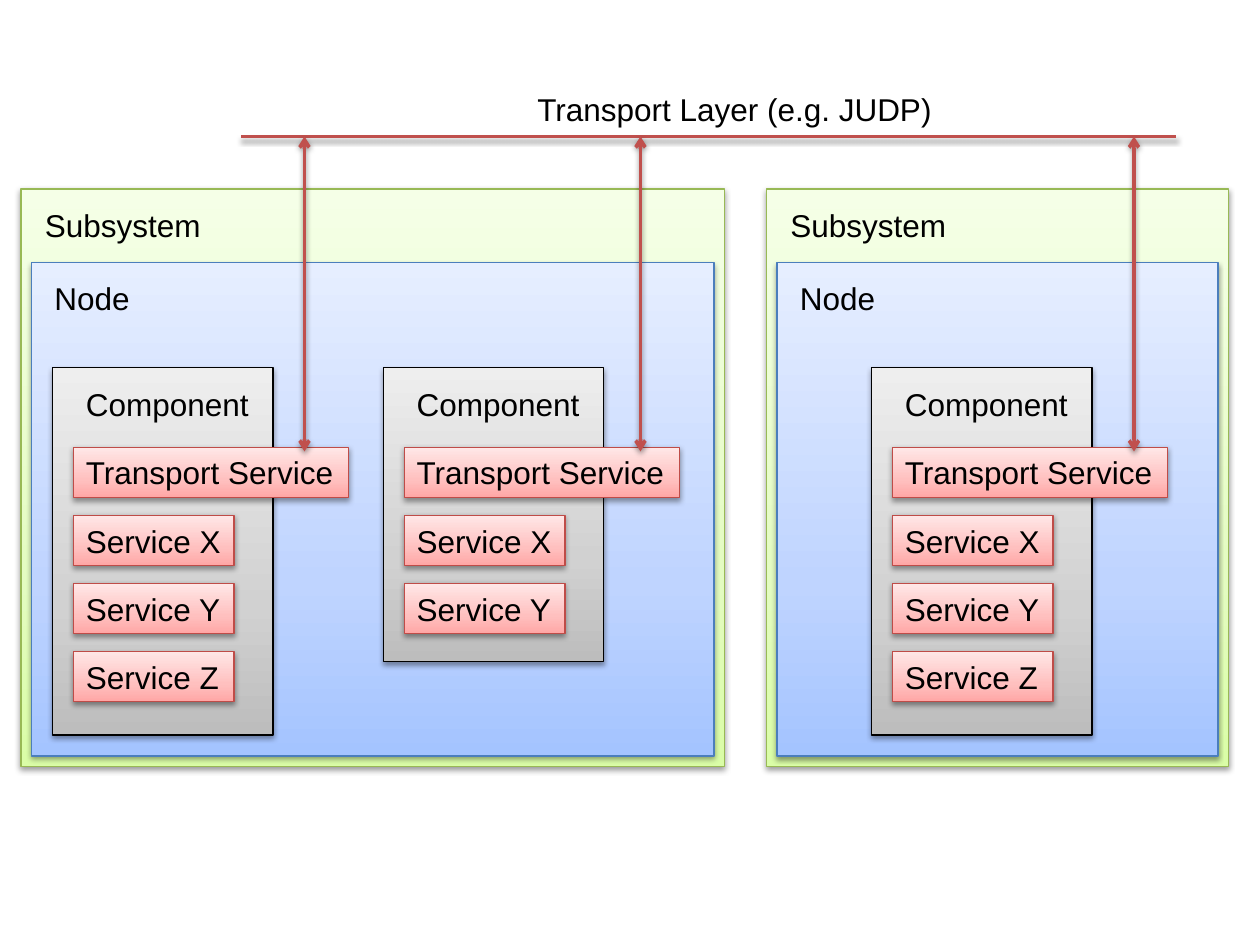
from copy import deepcopy

from lxml.etree import SubElement
from pptx import Presentation
from pptx.dml.color import RGBColor
from pptx.enum.shapes import MSO_CONNECTOR as Link, MSO_SHAPE as Preset
from pptx.enum.text import MSO_ANCHOR as Anchor, MSO_AUTO_SIZE as Fit, PP_ALIGN as Align
from pptx.oxml.ns import qn
from pptx.util import Inches, Pt

COLUMNS, ROWS = 120, 90
GREEN = ("DAFDA7", "E4FCC2", "F5FFE7", "98B955")
BLUE = ("A4C4FF", "BFD4FF", "E6EEFF", "4B7EBC")
GRAY = ("BDBDBD", "D1D1D1", "EEEEEE", "000000")
RED = ("FFA6A5", "FFC0BF", "FFE7E7", "BF4C48")
LABEL_HEIGHT = 4.8
BUS_ROW = 13


def color(hex_code):
    return RGBColor.from_string(hex_code)


class Diagram:
    font, size, ink = "Arial", 18, "000000"
    link_color, link_width, border_width = "C0504D", 2, 0.75

    def __init__(self, deck):
        self.slide = deck.slides.add_slide(deck.slide_layouts[6])
        self.column = deck.slide_width / COLUMNS
        self.row = deck.slide_height / ROWS

    def place(self, *cells):
        units = (self.column, self.row) * 2
        return [round(cell * unit) for cell, unit in zip(cells, units)]

    def cast_shadow(self, properties):
        effects = properties.find(qn("a:effectLst"))
        if effects is None:
            effects = SubElement(properties, qn("a:effectLst"))
        shadow = SubElement(effects, qn("a:outerShdw"), blurRad=str(Pt(3.1)),
                            dist=str(Pt(1.6)), dir="5400000", rotWithShape="0")
        black = SubElement(shadow, qn("a:srgbClr"), val="000000")
        SubElement(black, qn("a:alpha"), val="38000")

    def paint(self, shape, palette):
        *shades, border = palette
        properties = shape.element.spPr
        shape.fill.gradient()
        shape.fill.gradient_angle = 90
        stops = properties.find(".//" + qn("a:gsLst"))
        stops.insert(1, deepcopy(stops[0]))
        for stop, shade, position in zip(shape.fill.gradient_stops, shades, (0, 0.35, 1)):
            stop.color.rgb = color(shade)
            stop.position = position
        shape.line.color.rgb = color(border)
        shape.line.width = Pt(self.border_width)
        shape.shadow.inherit = False
        self.cast_shadow(properties)

    def panel(self, left, top, width, height, palette):
        area = self.place(left, top, width, height)
        self.paint(self.slide.shapes.add_shape(Preset.RECTANGLE, *area), palette)

    def label(self, text, left, top, width, palette=None):
        area = self.place(left, top, width, LABEL_HEIGHT)
        box = self.slide.shapes.add_textbox(*area)
        if palette:
            self.paint(box, palette)
        frame = box.text_frame
        frame.word_wrap = False
        frame.auto_size = Fit.SHAPE_TO_FIT_TEXT
        frame.vertical_anchor = Anchor.TOP
        paragraph = frame.paragraphs[0]
        paragraph.alignment = Align.LEFT
        run = paragraph.add_run()
        run.text = text
        run.font.name, run.font.size = self.font, Pt(self.size)
        run.font.color.rgb = color(self.ink)

    def link(self, start, end, arrows=False):
        line = self.slide.shapes.add_connector(Link.STRAIGHT, *self.place(*start, *end))
        line.line.color.rgb = color(self.link_color)
        line.line.width = Pt(self.link_width)
        properties = line.element.spPr
        if arrows:
            for tip in ("a:headEnd", "a:tailEnd"):
                SubElement(properties.find(qn("a:ln")), qn(tip), type="arrow")
        self.cast_shadow(properties)

    def component(self, left, height, services):
        self.panel(left, 35, 21, height, GRAY)
        self.label("Component", left + 2, 36.1, 18.1)
        for index, service in enumerate(("Transport Service", *services)):
            width = 15.3 if index else 26.2
            self.label(service, left + 2, 42.6 + 6.48 * index, width, RED)


def main():
    deck = Presentation()
    deck.slide_width, deck.slide_height = Inches(10), Inches(7.5)
    diagram = Diagram(deck)

    subsystems = ((73, 44), (2, 67))
    for left, width in subsystems:
        diagram.panel(left, 18, width, 55, GREEN)
    for left, width in subsystems:
        diagram.panel(left + 1, 25, width - 2, 47, BLUE)

    services = ("Service X", "Service Y", "Service Z")
    for left, height, count in ((5, 35, 3), (36.5, 28, 2), (83, 35, 3)):
        diagram.component(left, height, services[:count])

    for left, width in subsystems:
        diagram.label("Node", left + 2, 26, 9.7)
        diagram.label("Subsystem", left + 1.1, 19, 17.4)

    diagram.link((23, BUS_ROW), (112, BUS_ROW))
    for column in (29, 61, 108):
        diagram.link((column, 43), (column, BUS_ROW), arrows=True)
    diagram.label("Transport Layer (e.g. JUDP)", 50, 8, 40.3)

    deck.save("out.pptx")


if __name__ == "__main__":
    main()
